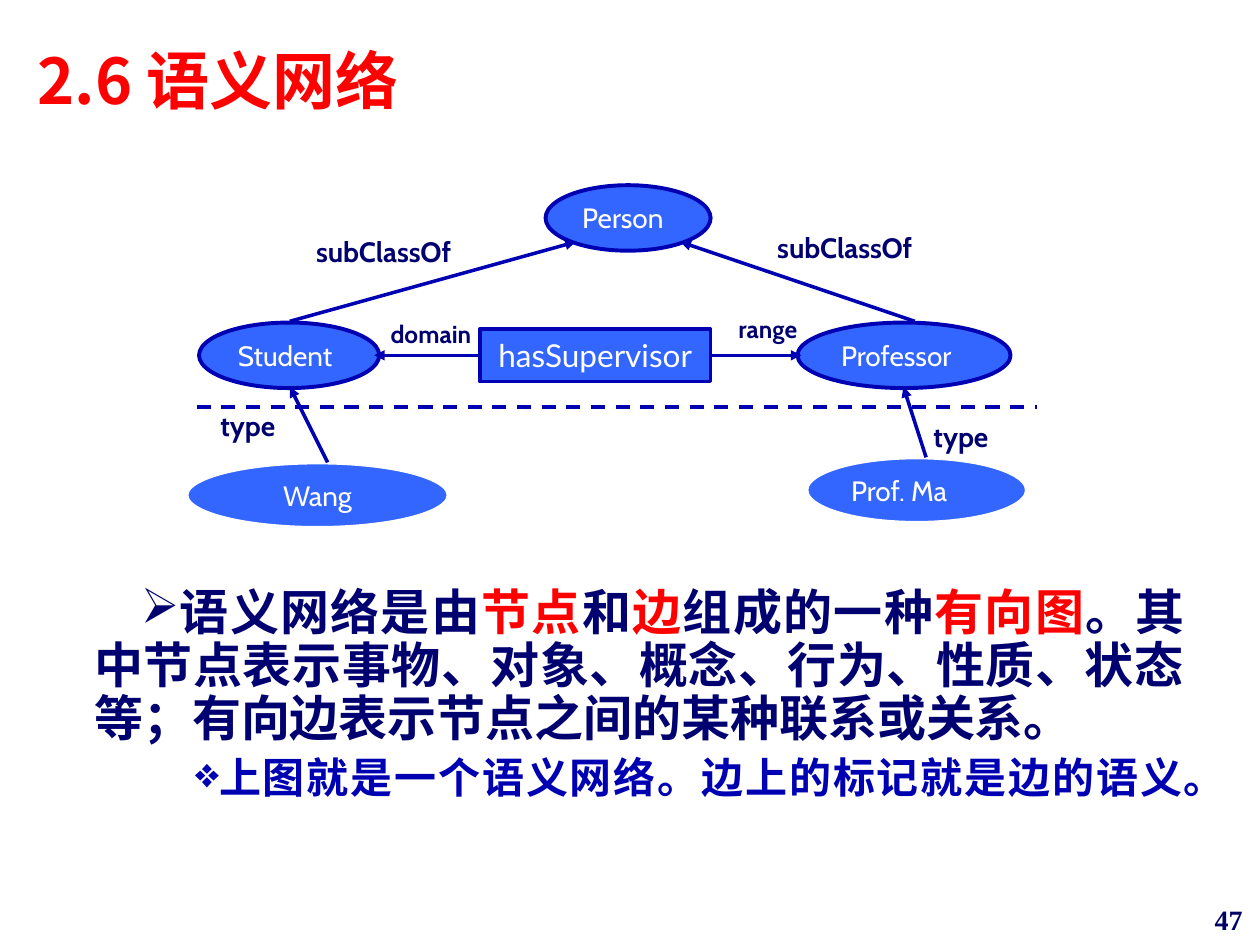
from lxml import etree
from pptx import Presentation
from pptx.dml.color import RGBColor
from pptx.enum import dml, shapes, text
from pptx.oxml.ns import qn
from pptx.util import Inches, Pt

BLUE, EDGE, NAVY, RED, WHITE = "3366FF", "0000B3", "000070", "FF0000", "FFFFFF"
CJK = "Noto Sans CJK SC"
LEFT, CENTER = text.PP_ALIGN.LEFT, text.PP_ALIGN.CENTER
RIGHT, JUSTIFY = text.PP_ALIGN.RIGHT, text.PP_ALIGN.JUSTIFY

TITLE = "2.6 语义网络"
PAGE = "47"
CONCEPTS = [
    ("Prof. Ma", (6.4, 3.63, 1.75, 0.52), WHITE, LEFT, True),
    ("Wang", (1.48, 3.67, 2.08, 0.52), WHITE, CENTER, True),
    ("Person", (4.33, 1.47, 1.31, 0.52), EDGE, LEFT, False),
    ("Student", (1.58, 2.56, 1.43, 0.52), EDGE, LEFT, False),
    ("Professor", (6.33, 2.56, 1.69, 0.52), EDGE, LEFT, False),
]
RELATION = ("hasSupervisor", (3.81, 2.61, 1.83, 0.42))
LABELS = [
    ("subClassOf", (6.07, 1.78, 1.42, 0.37), 16, LEFT),
    ("subClassOf", (2.41, 1.81, 1.42, 0.37), 16, LEFT),
    ("type", (7.31, 3.28, 0.69, 0.37), 16, LEFT),
    ("type", (1.65, 3.19, 0.69, 0.37), 16, LEFT),
    ("domain", (2.95, 2.48, 0.94, 0.34), 14, CENTER),
    ("range", (5.71, 2.44, 0.77, 0.34), 14, CENTER),
]
DIVIDER = (1.56, 3.23, 8.23, 3.23)
EDGES = [
    ((3.81, 2.82, 2.97, 2.82), 1),
    ((5.64, 2.82, 6.36, 2.82), 3),
    ((7.35, 3.63, 7.17, 3.07), None),
    ((2.3, 2.55, 4.57, 1.92), None),
    ((7.26, 2.55, 5.4, 1.92), None),
    ((2.6, 3.67, 2.3, 3.07), None),
]
POINTS = [
    ("➢", 0, 0.38, 28, NAVY, [
        ("语义网络是由", NAVY), ("节点", RED), ("和", NAVY), ("边", RED),
        ("组成的一种", NAVY), ("有向图", RED),
        ("。其中节点表示事物、对象、概念、行为、性质、状态等；"
         "有向边表示节点之间的某种联系或关系。", NAVY)]),
    ("❖", 1, 0.81, 24, EDGE, [
        ("上图就是一个语义网络。边上的标记就是边的语义。", EDGE)]),
]


def rgb(value):
    return RGBColor.from_string(value)


def inches(values):
    return [Inches(v) for v in values]


def style_run(run, size, face, color, bold=False):
    run.font.size, run.font.name, run.font.bold = Pt(size), face, bold
    run.font.color.rgb = rgb(color)
    east_asian = etree.SubElement(run.font._element, qn("a:ea"))
    east_asian.set("typeface", CJK)


def write(shape, words, size, face, color, align=LEFT, bold=False,
          anchor=text.MSO_ANCHOR.TOP, wrap=False, grow=True):
    frame = shape.text_frame
    frame.text = words
    frame.word_wrap = wrap
    frame.vertical_anchor = anchor
    fit = text.MSO_AUTO_SIZE
    frame.auto_size = fit.SHAPE_TO_FIT_TEXT if grow else fit.NONE
    paragraph = frame.paragraphs[0]
    paragraph.alignment = align
    style_run(paragraph.runs[0], size, face, color, bold)


def add_node(slide, preset, box, edge, width):
    node = slide.shapes.add_shape(preset, *inches(box))
    node.shadow.inherit = False
    node.fill.solid()
    node.fill.fore_color.rgb = rgb(BLUE)
    node.line.color.rgb = rgb(edge)
    node.line.width = Pt(width)
    return node


def add_line(slide, ends):
    line = slide.shapes.add_connector(shapes.MSO_CONNECTOR.STRAIGHT, *inches(ends))
    line.line.color.rgb = rgb(EDGE)
    line.line.width = Pt(2)
    etree.SubElement(line._element.spPr, qn("a:effectLst"))
    return line


def add_bullet(paragraph, mark, color, margin):
    props = paragraph._p.get_or_add_pPr()
    props.set("marL", str(Inches(margin)))
    props.set("indent", str(Inches(0.37)))
    tint = etree.SubElement(props, qn("a:buClr"))
    etree.SubElement(tint, qn("a:srgbClr")).set("val", color)
    etree.SubElement(props, qn("a:buChar")).set("char", mark)


def add_points(slide):
    frame = slide.shapes.add_textbox(*inches((0.27, 4.62, 9.23, 2.45))).text_frame
    frame.word_wrap = True
    for i, (mark, level, margin, size, color, parts) in enumerate(POINTS):
        paragraph = frame.add_paragraph() if i else frame.paragraphs[0]
        add_bullet(paragraph, mark, color, margin)
        paragraph.level = level
        paragraph.alignment = JUSTIFY
        paragraph.line_spacing = 0.9
        paragraph.space_before = Pt(6 if i else 0)
        for words, tint in parts:
            run = paragraph.add_run()
            run.text = words
            style_run(run, size, "Times New Roman", tint, True)


def main():
    deck = Presentation()
    deck.slide_width, deck.slide_height = Inches(10), Inches(7.5)
    slide = deck.slides.add_slide(deck.slide_layouts[5])

    title = slide.shapes.title
    title.left, title.top, title.width, title.height = inches((0.2, 0.28, 8.5, 0.98))
    write(title, TITLE, 36, CJK, RED, bold=True, wrap=True, grow=False)

    for name, box, edge, align, wrap in CONCEPTS:
        oval = add_node(slide, shapes.MSO_SHAPE.OVAL, box, edge, 2.25)
        write(oval, name, 16, "Cabin", WHITE, align, wrap=wrap)

    name, box = RELATION
    relation = add_node(slide, shapes.MSO_SHAPE.RECTANGLE, box, EDGE, 2)
    write(relation, name, 18, "Lato", WHITE, CENTER,
          anchor=text.MSO_ANCHOR.MIDDLE, grow=False)

    add_line(slide, DIVIDER).line.dash_style = dml.MSO_LINE.DASH
    for ends, side in EDGES:
        arrow = add_line(slide, ends)
        if side is not None:
            arrow.begin_connect(relation, side)
        head = etree.SubElement(arrow.line._get_or_add_ln(), qn("a:tailEnd"))
        head.set("type", "triangle")

    for words, box, size, align in LABELS:
        label = slide.shapes.add_textbox(*inches(box))
        write(label, words, size, "Cabin", NAVY, align, bold=True)

    add_points(slide)
    number = slide.shapes.add_textbox(*inches((7.88, 7.11, 2.08, 0.39)))
    write(number, PAGE, 16, "Times New Roman", "000066", RIGHT,
          bold=True, wrap=True, grow=False)
    deck.save("out.pptx")


if __name__ == "__main__":
    main()
